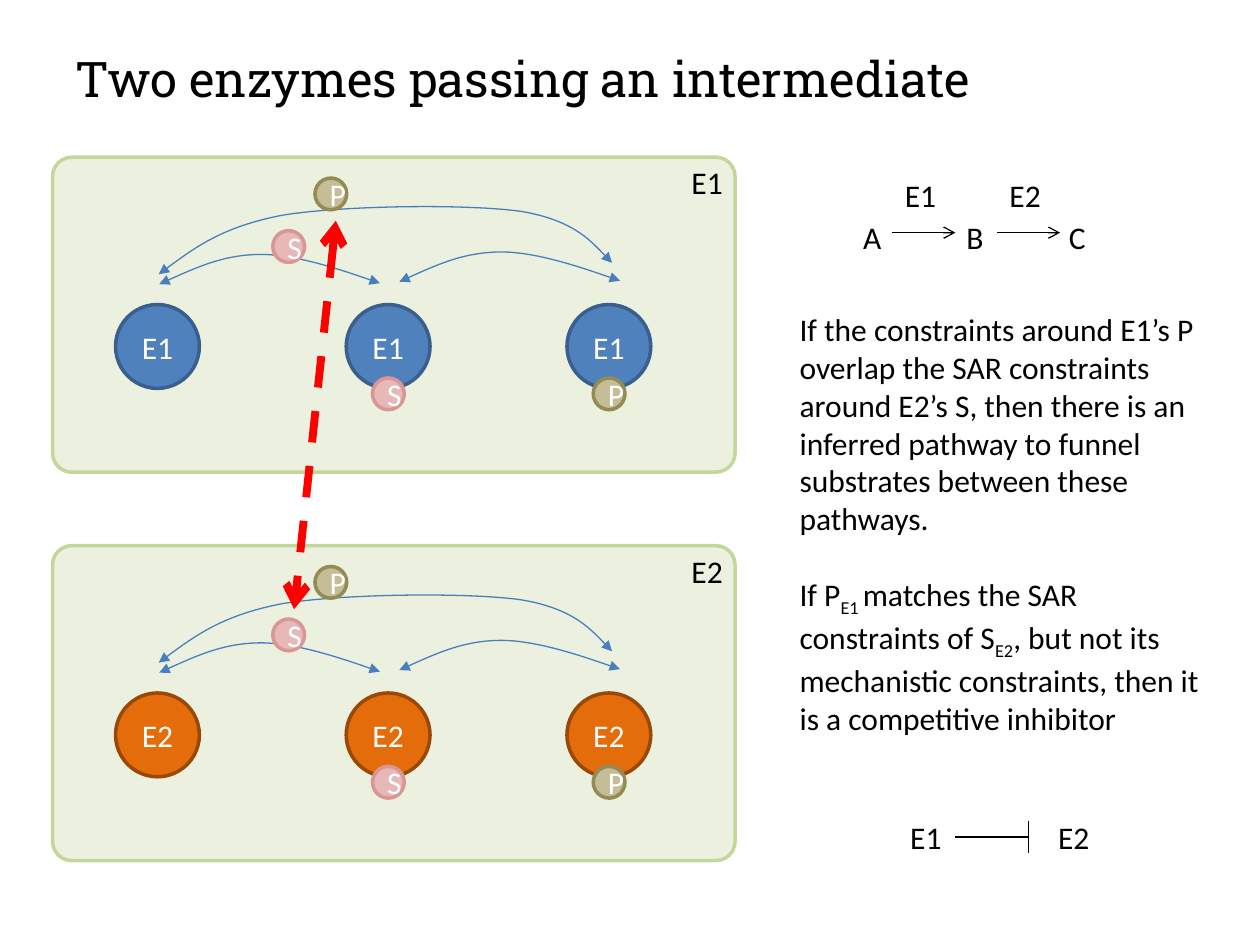
from pptx import Presentation
from pptx.dml.color import RGBColor
from pptx.enum.dml import MSO_LINE
from pptx.enum.shapes import MSO_CONNECTOR as CONN, MSO_SHAPE as SHAPE
from pptx.enum.text import MSO_ANCHOR as ANCHOR, PP_ALIGN as ALIGN
from pptx.oxml.ns import qn
from pptx.util import Cm, Pt
from lxml.etree import SubElement

# Fill and outline of each kind of molecule
LOOKS = {
    "E1": ("4F81BD", "3A5F8C"),
    "E2": ("E46C0A", "984807"),
    "S": ("E6B9B8", "D99694"),
    "P": ("C4BD97", "948A54"),
}
BIG, SMALL = 1.69, 0.64

# Bezier points, measured from the top of a panel
HOP = [(8.05, 2.51), (8.71, 2.21), (9.37, 1.91), (10.11, 1.91),
       (10.87, 1.91), (12.5, 2.49), (12.5, 2.49)]
LEAP = [(3.2, 2.36), (3.84, 1.88), (4.5, 1.4), (5.69, 1.17), (6.91, 0.97),
        (9.4, 0.94), (10.49, 1.09), (11.61, 1.27), (12.34, 2.13), (12.34, 2.13)]


def color(code):
    return RGBColor.from_string(code)


def write(frame, paras, size=18, font="Calibri", ink="000000",
          align=ALIGN.LEFT, gap=0, tabs=()):
    """Each paragraph is a list of runs; every second run is a subscript."""
    for i, runs in enumerate(paras):
        para = frame.add_paragraph() if i else frame.paragraphs[0]
        para.alignment = align
        if i:
            para.space_before = Pt(gap)
        if tabs:
            stops = SubElement(para._p.get_or_add_pPr(), qn("a:tabLst"))
            for pos in tabs:
                SubElement(stops, qn("a:tab"), pos=str(Cm(pos)), algn="l")
        for j, words in enumerate(runs):
            run = para.add_run()
            run.text = words
            run.font.size = Pt(size)
            run.font.name = font
            run.font.color.rgb = color(ink)
            if j % 2:
                run._r.get_or_add_rPr().set("baseline", "-25000")


def label(slide, x, y, w, h, paras, wrap=True, **style):
    box = slide.shapes.add_textbox(Cm(x), Cm(y), Cm(w), Cm(h))
    box.text_frame.word_wrap = wrap
    write(box.text_frame, paras, **style)


def block(slide, kind, x, y, w, h, fill, edge):
    shape = slide.shapes.add_shape(kind, Cm(x), Cm(y), Cm(w), Cm(h))
    shape.shadow.inherit = False
    shape.fill.solid()
    shape.fill.fore_color.rgb = color(fill)
    shape.line.color.rgb = color(edge)
    shape.line.width = Pt(2)
    return shape


def ball(slide, name, x, y, size):
    shape = block(slide, SHAPE.OVAL, x, y, size, size, *LOOKS[name])
    shape.text_frame.vertical_anchor = ANCHOR.MIDDLE
    write(shape.text_frame, [[name]], ink="FFFFFF", align=ALIGN.CENTER)


def stroke(shape, ink, width, head=None, tail=None):
    shape.line.color.rgb = color(ink)
    shape.line.width = Pt(width)
    line = shape.line._get_or_add_ln()
    for tag, tip in (("a:headEnd", head), ("a:tailEnd", tail)):
        if tip:
            SubElement(line, qn(tag), type=tip)


def link(slide, x1, y1, x2, y2, ink="000000", width=0.75, dash=None, **tips):
    line = slide.shapes.add_connector(CONN.STRAIGHT, Cm(x1), Cm(y1), Cm(x2), Cm(y2))
    if dash:
        line.line.dash_style = dash
    stroke(line, ink, width, **tips)
    SubElement(line._element.spPr, qn("a:effectLst"))


def curve(slide, points, dx, dy):
    dots = [(Cm(x + dx), Cm(y + dy)) for x, y in points]
    pen = slide.shapes.build_freeform(*dots[0])
    pen.add_line_segments(dots[1:], close=False)
    shape = pen.convert_to_shape()
    # Join each three segments into one bezier
    trace = next(shape._element.iter(qn("a:path")))
    sides = trace.findall(qn("a:lnTo"))
    for i in range(0, len(sides), 3):
        bend = SubElement(trace, qn("a:cubicBezTo"))
        for side in sides[i:i + 3]:
            bend.append(side[0])
            trace.remove(side)
    shape.shadow.inherit = False
    shape.fill.background()
    stroke(shape, "4B7EBC", 0.75, head="triangle", tail="triangle")


def panel(slide, name, top):
    """Draw the binding cycle of one enzyme."""
    back = block(slide, SHAPE.ROUNDED_RECTANGLE, 1.06, top, 13.76, 6.35,
                 "EBF1DE", "C3D69B")
    back.adjustments[0] = 0.061
    # Enzyme states: free, with substrate, with product
    for x, bound in ((2.33, None), (6.98, "S"), (11.43, "P")):
        ball(slide, name, x, top + 2.97, BIG)
        if bound:
            ball(slide, bound, x + 0.53, top + 4.45, SMALL)
    # Transitions
    curve(slide, HOP, 0, top)
    pair = slide.shapes.add_group_shape()
    curve(pair, HOP, -4.84, top + 0.05)
    curve(pair, LEAP, 0, top)
    # Free molecules
    ball(slide, "P", 6.35, top + 0.42, SMALL)
    ball(slide, "S", 5.5, top + 1.48, SMALL)
    label(slide, 11, top, 3.82, 1.02, [[name]], align=ALIGN.RIGHT)


def main():
    deck = Presentation()
    deck.slide_width, deck.slide_height = Cm(25.4), Cm(19.05)
    slide = deck.slides.add_slide(deck.slide_layouts[6])

    label(slide, 1.27, 0.85, 23.5, 1.45, [["Two enzymes passing an intermediate"]],
          size=28, font="Roboto Slab")

    # Panels and the match between product and substrate
    panel(slide, "E1", 3.17)
    panel(slide, "E2", 11)
    link(slide, 6.77, 4.45, 5.93, 12.28, ink="FF0000", width=4.5,
         dash=MSO_LINE.DASH, head="arrow", tail="arrow")

    # Explanation
    label(slide, 15.87, 6.13, 8.68, 9.5, [
        ["If the constraints around E1’s P overlap the SAR constraints around "
         "E2’s S, then there is an inferred pathway to funnel substrates "
         "between these pathways."],
        ["If P", "E1 ", "matches the SAR constraints of S", "E2",
         ", but not its mechanistic constraints, then it is a competitive inhibitor"],
    ], gap=21.6)

    # Reaction chain
    label(slide, 17.15, 4.27, 5.92, 1.02, [["A\tB\tC"]], tabs=(2.08, 4.15))
    for name, x in (("E1", 17.99), ("E2", 20.1)):
        link(slide, x, 4.69, x + 1.27, 4.69, tail="arrow")
        label(slide, x, 3.43, 1.14, 1.02, [[name]], wrap=False)

    # Inhibition sign
    sign = slide.shapes.add_group_shape()
    for name, x in (("E1", 18.1), ("E2", 21.08)):
        label(sign, x, 16.36, 1.14, 1.02, [[name]], wrap=False)
    link(sign, 19.26, 16.87, 20.74, 16.87)
    link(sign, 20.74, 16.56, 20.74, 17.2)

    deck.save("out.pptx")


if __name__ == "__main__":
    main()
